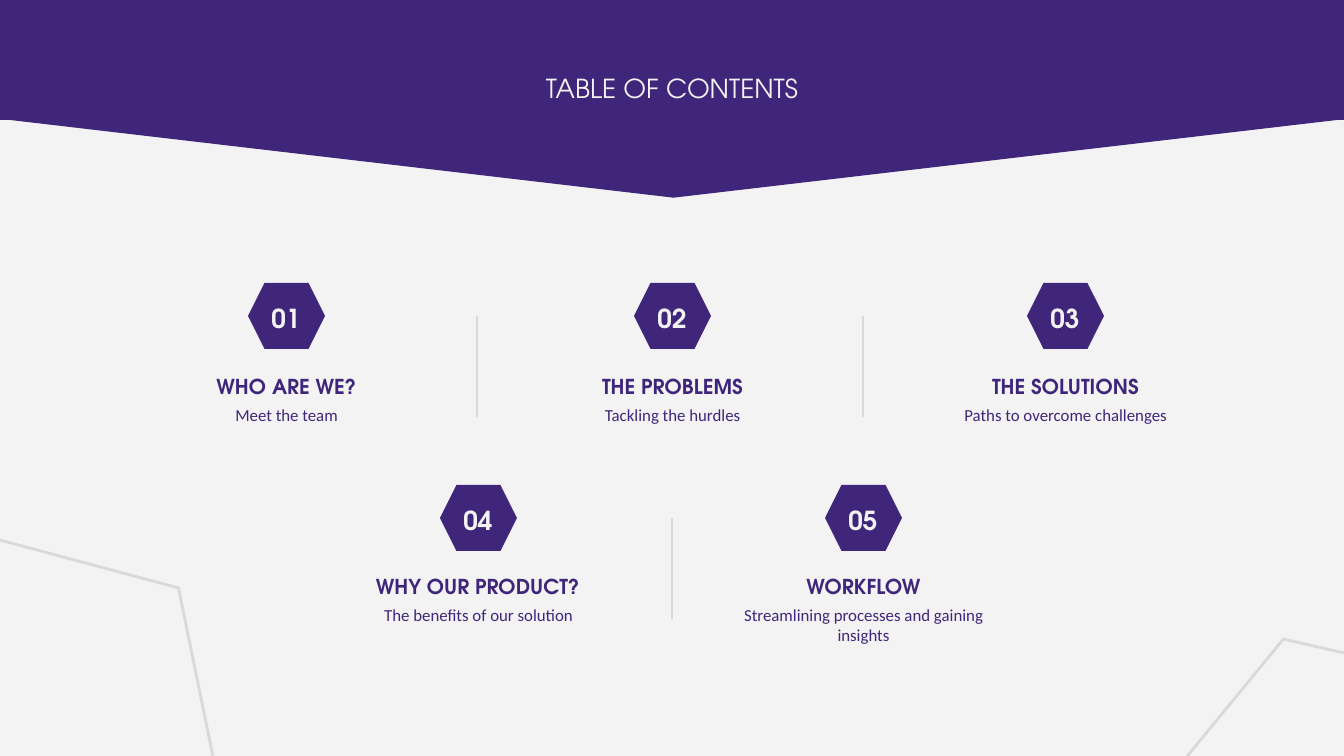
"""Build a table of contents slide with five numbered sections."""
from dataclasses import dataclass

import pptx
import pptx.dml.color
import pptx.enum.shapes
import pptx.enum.text
import pptx.oxml.ns
import pptx.util
from lxml import etree

SHAPE = pptx.enum.shapes.MSO_SHAPE
ANCHOR = pptx.enum.text.MSO_ANCHOR
EMU_PER_PX = 914400 / 134.4


def px(length):
    return pptx.util.Emu(round(length * EMU_PER_PX))


@dataclass(frozen=True)
class Theme:
    purple: str = "3F267B"
    paper: str = "F3F3F3"
    grey: str = "D9D9D9"
    display: str = "TeX Gyre Adventor"
    text: str = "Calibri"
    large: int = 14
    medium: int = 11
    small: int = 9
    outline: float = 1.5
    hairline: float = 0.75


class Deck:
    def __init__(self, theme, width, height):
        self.theme = theme
        self.presentation = pptx.Presentation()
        self.presentation.slide_width = px(width)
        self.presentation.slide_height = px(height)
        self.slide = self.presentation.slides.add_slide(self.presentation.slide_layouts[5])
        background = self.slide.background.fill
        background.solid()
        background.fore_color.rgb = self.rgb(theme.paper)

    def rgb(self, colour):
        return pptx.dml.color.RGBColor.from_string(colour)

    def shape(self, kind, box, fill=None, line=None, weight=1.5, rotation=0):
        shape = self.slide.shapes.add_shape(kind, *map(px, box))
        shape.shadow.inherit = False
        shape.rotation = rotation
        if fill:
            shape.fill.solid()
            shape.fill.fore_color.rgb = self.rgb(fill)
        else:
            shape.fill.background()
        if line:
            shape.line.color.rgb = self.rgb(line)
            shape.line.width = pptx.util.Pt(weight)
        else:
            shape.line.fill.background()

    def divider(self, x, top, length):
        line = self.slide.shapes.add_connector(
            pptx.enum.shapes.MSO_CONNECTOR.STRAIGHT, px(x), px(top), px(x), px(top + length))
        line.line.color.rgb = self.rgb(self.theme.grey)
        line.line.width = pptx.util.Pt(self.theme.outline)
        etree.SubElement(line._element.spPr, pptx.oxml.ns.qn("a:effectLst"))

    def set_text(self, holder, words, font, size, colour, bold, anchor):
        frame = holder.text_frame
        frame.word_wrap = True
        frame.auto_size = pptx.enum.text.MSO_AUTO_SIZE.NONE
        frame.vertical_anchor = anchor
        frame.margin_left = frame.margin_right = px(13)
        frame.margin_top = frame.margin_bottom = px(13)
        frame.text = words
        paragraph = frame.paragraphs[0]
        paragraph.alignment = pptx.enum.text.PP_ALIGN.CENTER
        paragraph.font.name = font
        paragraph.font.size = pptx.util.Pt(size)
        paragraph.font.bold = bold
        paragraph.font.color.rgb = self.rgb(colour)

    def title(self, words, box):
        title = self.slide.shapes.title
        title.left, title.top, title.width, title.height = map(px, box)
        self.slide.shapes._spTree.append(title._element)
        self.set_text(title, words, self.theme.display, self.theme.large,
                      self.theme.paper, False, ANCHOR.TOP)

    def label(self, words, box, font, size, colour, bold=False, anchor=ANCHOR.MIDDLE):
        holder = self.slide.shapes.add_textbox(*map(px, box))
        self.set_text(holder, words, font, size, colour, bold, anchor)

    def section(self, number, centre, badge_top, text_top, heading, summary, heading_width):
        theme = self.theme
        self.shape(SHAPE.HEXAGON, (centre - 38, badge_top, 77, 66), fill=theme.purple)
        self.label(f"{number:02}", (centre - 55, badge_top + 13, 110, 44),
                   theme.display, theme.large, theme.paper, True)
        self.label(heading, (centre - heading_width // 2, text_top, heading_width, 85),
                   theme.display, theme.medium, theme.purple, True)
        self.label(summary, (centre - 144, text_top + 48, 289, 85),
                   theme.text, theme.small, theme.purple, anchor=ANCHOR.TOP)

    def save(self):
        self.presentation.save("out.pptx")


ROWS = [
    (283, 344, (477, 863), [
        (286, "WHO ARE WE?", "Meet the team", 235),
        (672, "THE PROBLEMS", "Tackling the hurdles", 235),
        (1065, "THE SOLUTIONS", "Paths to overcome challenges", 235),
    ]),
    (485, 544, (672,), [
        (478, "WHY OUR PRODUCT?", "The benefits of our solution", 254),
        (863, "WORKFLOW", "Streamlining processes and gaining insights", 345),
    ]),
]


def main():
    theme = Theme()
    deck = Deck(theme, 1344, 756)
    deck.shape(SHAPE.ISOSCELES_TRIANGLE, (-1, 118, 1349, 79), fill=theme.purple,
               line=theme.purple, weight=theme.hairline, rotation=180)
    deck.shape(SHAPE.RECTANGLE, (-1, -6, 1349, 126), fill=theme.purple)
    deck.title("TABLE OF CONTENTS", (453, 59, 438, 101))
    number = 0
    for badge_top, text_top, dividers, sections in ROWS:
        for x in dividers:
            deck.divider(x, badge_top + 33, 101)
        for number, (centre, heading, summary, width) in enumerate(sections, number + 1):
            deck.section(number, centre, badge_top, text_top, heading, summary, width)
    for left, top, rotation in ((-210, 548, 15), (1114, 679, 309.4)):
        deck.shape(SHAPE.HEXAGON, (left, top, 434, 340), line=theme.grey,
                   weight=theme.outline, rotation=rotation)
    deck.save()


if __name__ == "__main__":
    main()
